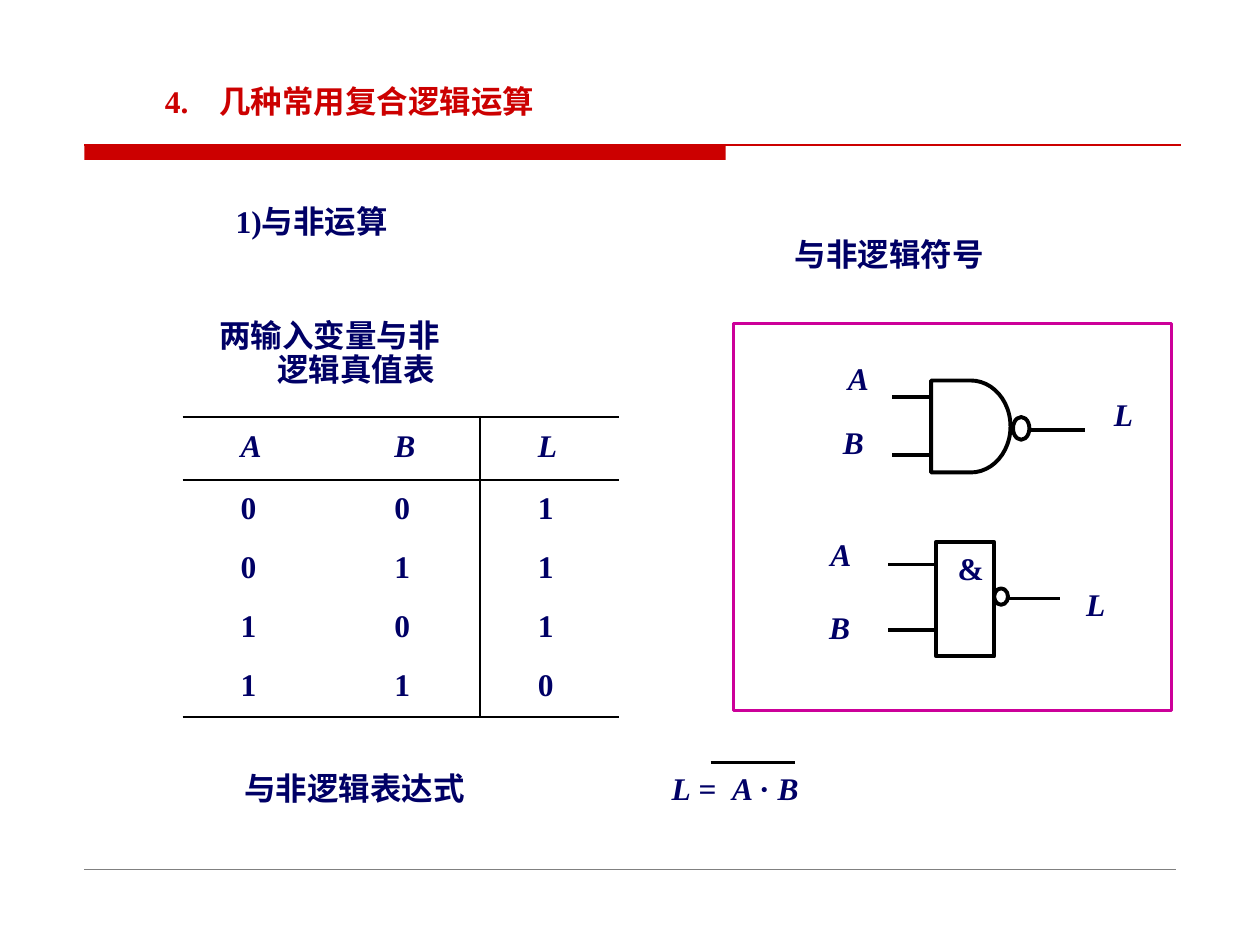
from dataclasses import dataclass

from lxml import etree
from pptx import Presentation
from pptx.dml.color import RGBColor
from pptx.enum.shapes import MSO_CONNECTOR, MSO_SHAPE
from pptx.enum.text import MSO_ANCHOR
from pptx.oxml.ns import qn
from pptx.util import Inches, Pt

STRAIGHT = MSO_CONNECTOR.STRAIGHT
RECTANGLE = MSO_SHAPE.RECTANGLE
ELLIPSE = MSO_SHAPE.OVAL
DELAY = MSO_SHAPE.FLOWCHART_DELAY
MIDDLE = MSO_ANCHOR.MIDDLE


@dataclass(frozen=True)
class Theme:
    font: str = "Times New Roman"
    size: float = 18
    red: str = "CC0000"
    navy: str = "000066"
    black: str = "000000"
    magenta: str = "CC0099"
    gray: str = "808080"
    hairline: float = 0.25
    thin: float = 1
    rule: float = 1.5
    bold: float = 2.25
    leading: float = 0.9


class SlideBuilder:
    """Draws styled elements on the current slide."""

    def __init__(self, slide, theme):
        self.shapes = slide.shapes
        self.theme = theme

    def add_runs(self, paragraph, runs, color, indent=0, tab=None, leading=None):
        properties = paragraph._p.get_or_add_pPr()
        if indent:
            properties.set("marL", str(Inches(indent)))
        if tab:
            stops = etree.SubElement(properties, qn("a:tabLst"))
            etree.SubElement(stops, qn("a:tab"), pos=str(Inches(tab)), algn="l")
        if leading:
            paragraph.line_spacing = leading
        for words, italic in runs:
            run = paragraph.add_run()
            run.text = words
            run.font.color.rgb = RGBColor.from_string(color)
            formats = {"name": self.theme.font, "size": Pt(self.theme.size),
                       "bold": True, "italic": italic}
            for key, value in formats.items():
                setattr(run.font, key, value)

    def text(self, left, top, width, height, paragraphs, color=None, **layout):
        frame = self.shapes.add_textbox(*map(Inches, (left, top, width, height))).text_frame
        formats = {"word_wrap": True, "margin_left": 0, "margin_right": 0,
                   "margin_top": 0, "margin_bottom": 0}
        for key, value in formats.items():
            setattr(frame, key, value)
        for index, (runs, indent) in enumerate(paragraphs):
            paragraph = frame.add_paragraph() if index else frame.paragraphs[0]
            self.add_runs(paragraph, runs, color or self.theme.navy, indent, **layout)

    def label(self, left, top, words, italic=False, width=0.26, **layout):
        self.text(left, top, width, 0.27, [([(words, italic)], 0)], **layout)

    def line(self, x1, y1, x2, y2, weight, color=None):
        connector = self.shapes.add_connector(STRAIGHT, *map(Inches, (x1, y1, x2, y2)))
        connector.line.width = Pt(weight)
        connector.line.color.rgb = RGBColor.from_string(color or self.theme.black)
        etree.SubElement(connector._element.spPr, qn("a:effectLst"))

    def shape(self, preset, left, top, width, height, weight=0, color=None, filled=False):
        shape = self.shapes.add_shape(preset, *map(Inches, (left, top, width, height)))
        shape.shadow.inherit = False
        rgb = RGBColor.from_string(color or self.theme.black)
        if filled:
            shape.fill.solid()
            shape.fill.fore_color.rgb = rgb
            shape.line.fill.background()
        else:
            shape.fill.background()
            shape.line.width = Pt(weight)
            shape.line.color.rgb = rgb

    def border(self, cell, side, visible):
        weight = Pt(self.theme.rule) if visible else 0
        edge = etree.SubElement(cell._tc.get_or_add_tcPr(), qn(f"a:ln{side}"), w=str(weight))
        if visible:
            fill = etree.SubElement(edge, qn("a:solidFill"))
            etree.SubElement(fill, qn("a:srgbClr"), val=self.theme.black)
        else:
            etree.SubElement(edge, qn("a:noFill"))

    def truth_table(self, left, top, widths, heights, rows):
        table = self.shapes.add_table(
            len(rows), len(widths),
            *map(Inches, (left, top, sum(widths), sum(heights)))).table
        table.first_row = table.horz_banding = False
        for column, width in zip(table.columns, widths):
            column.width = Inches(width)
        for row, height in zip(table.rows, heights):
            row.height = Inches(height)
        last_row, output = len(rows) - 1, len(widths) - 1
        for r, values in enumerate(rows):
            for c, value in enumerate(values):
                cell = table.cell(r, c)
                formats = {"margin_left": Inches(0.46), "margin_right": 0, "margin_top": 0,
                           "margin_bottom": 0, "vertical_anchor": MIDDLE}
                for key, setting in formats.items():
                    setattr(cell, key, setting)
                edges = {"L": c == output, "R": c == output - 1,
                         "T": r in (0, 1), "B": r in (0, last_row)}
                for side, visible in edges.items():
                    self.border(cell, side, visible)
                cell.fill.background()
                self.add_runs(cell.text_frame.paragraphs[0], [(value, r == 0)],
                              self.theme.navy, leading=self.theme.leading)

    def gate(self, preset, body, bubble, wires, letters):
        weight = self.theme.bold
        self.shape(preset, *body, weight)
        self.shape(ELLIPSE, *bubble, weight)
        for x1, x2, y in wires:
            self.line(x1, y, x2, y, weight)
        for name, (left, top) in zip("ABL", letters):
            self.label(left, top, name, True, leading=self.theme.leading)


def main():
    deck = Presentation()
    deck.slide_width, deck.slide_height = Inches(10), Inches(7.5)
    theme = Theme()
    page = SlideBuilder(deck.slides.add_slide(deck.slide_layouts[6]), theme)

    page.shape(RECTANGLE, 0.67, 1.15, 5.09, 0.12, color=theme.red, filled=True)
    page.line(0.67, 1.15, 9.37, 1.15, theme.thin, theme.red)
    page.line(0.67, 6.9, 9.33, 6.9, theme.hairline, theme.gray)

    page.label(1.31, 0.65, "4.\t几种常用复合逻辑运算", width=3.3, color=theme.red, tab=0.43)
    page.label(1.87, 1.6, "1)与非运算", width=1.97)

    page.text(1.45, 2.54, 3.45, 0.54,
              [([("两输入变量与非", False)], 0.29), ([("逻辑真值表", False)], 0.75)],
              leading=theme.leading)
    inputs = [(a, b) for a in (0, 1) for b in (0, 1)]
    outcomes = [(str(a), str(b), str(1 - a * b)) for a, b in inputs]
    page.truth_table(1.45, 3.31, [1.22, 1.14, 1.1], [0.5] + [0.47] * 4, ["ABL"] + outcomes)

    page.label(6.31, 1.9, "与非逻辑符号", width=2.33, leading=theme.leading)
    page.shape(RECTANGLE, 5.82, 2.57, 3.48, 3.07, theme.rule, theme.magenta)
    page.gate(DELAY, (7.39, 3.02, 0.63, 0.73), (8.04, 3.31, 0.13, 0.18),
              [(7.08, 7.39, 3.15), (7.08, 7.39, 3.61), (8.16, 8.61, 3.41)],
              [(6.73, 2.88), (6.69, 3.39), (8.84, 3.17)])
    page.gate(RECTANGLE, (7.43, 4.3, 0.46, 0.91), (7.89, 4.67, 0.11, 0.13),
              [(7.05, 7.44, 4.48), (7.05, 7.44, 5), (8, 8.41, 4.75)],
              [(6.59, 4.28), (6.58, 4.86), (8.62, 4.68)])
    page.label(7.6, 4.39, "&", leading=theme.leading)

    page.label(1.94, 6.1, "与非逻辑表达式", width=1.95)
    expression = [("L", True), (" =\t", False), ("A ", True), ("· ", False), ("B", True)]
    page.text(5.33, 6.1, 1.82, 0.3, [(expression, 0)], tab=0.48)
    page.line(5.64, 6.05, 6.31, 6.05, theme.rule)

    deck.save("out.pptx")


if __name__ == "__main__":
    main()
